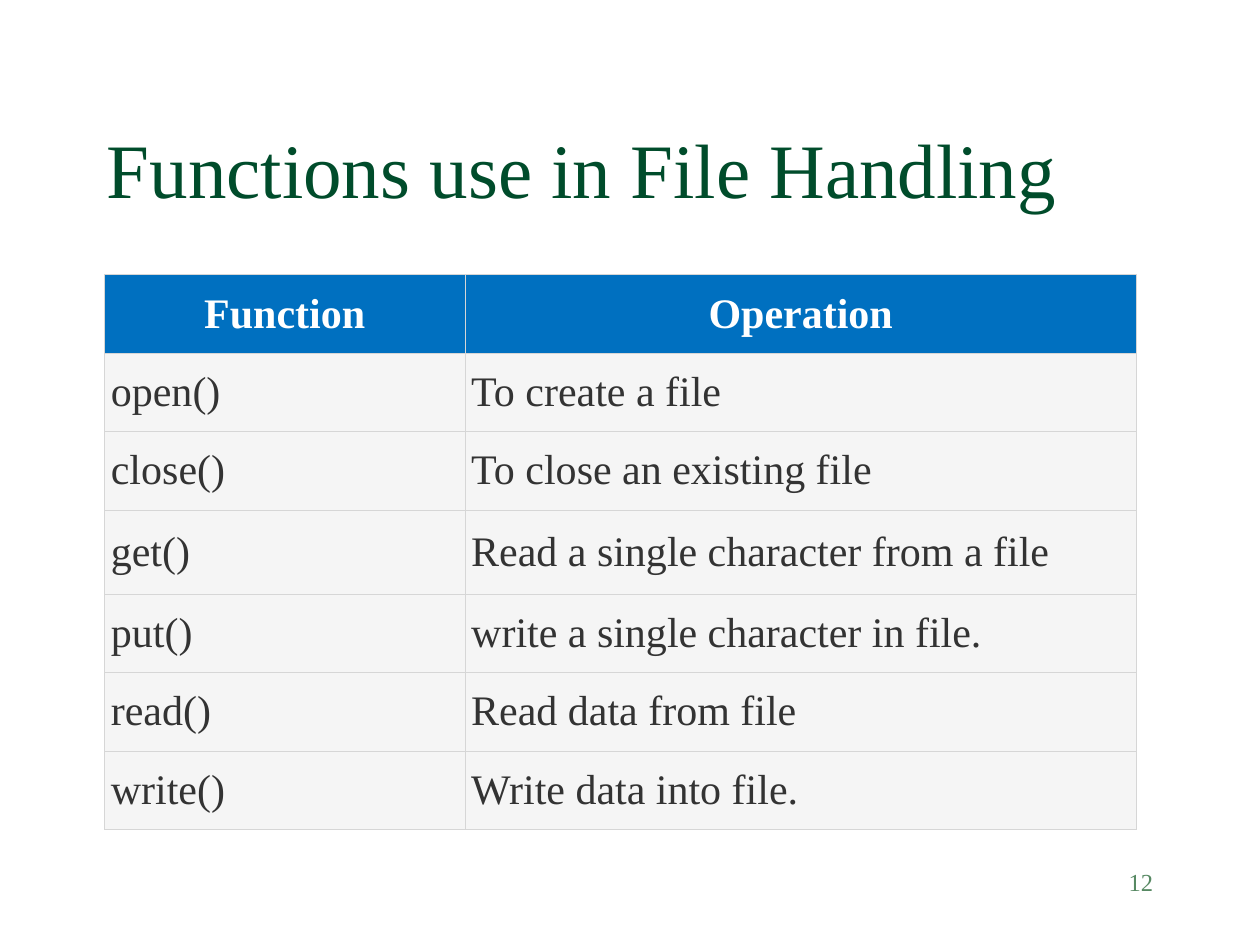
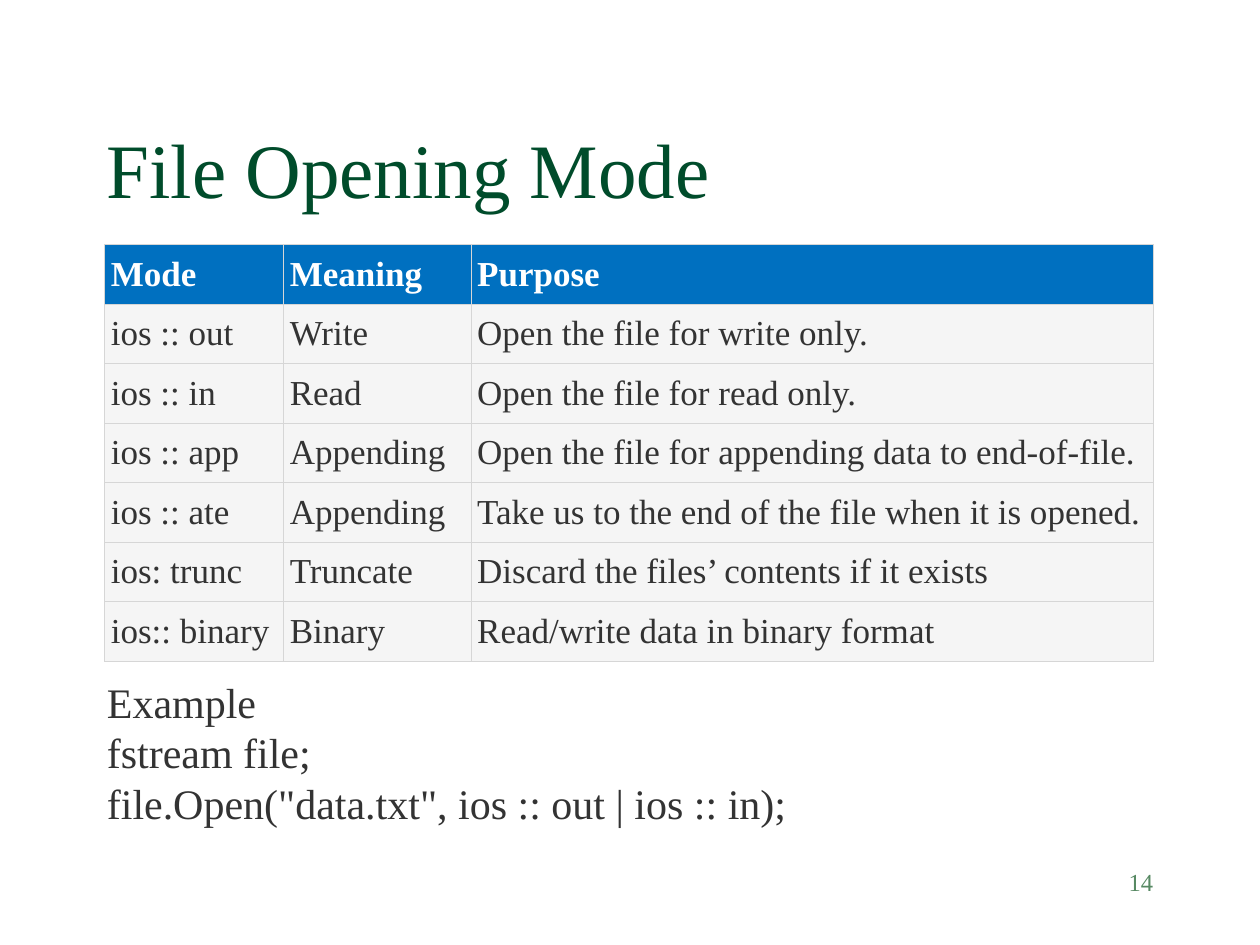
from lxml.etree import SubElement
from pptx import Presentation
from pptx.dml.color import RGBColor
from pptx.enum.text import MSO_ANCHOR as ANCHOR, MSO_AUTO_SIZE as AUTO, PP_ALIGN as ALIGN
from pptx.oxml.ns import qn
from pptx.util import Inches, Pt

FONT = "Times New Roman"
GREEN, PALE_GREEN, INK = "004C2B", "578963", "333333"
BLUE, GREY, RULE, WHITE = "0070C0", "F5F5F5", "D6D6D6", "FFFFFF"

prs = Presentation()
prs.slide_width, prs.slide_height = Inches(10), Inches(7.5)
COLS = 40
unit = prs.slide_width / COLS


def grid(*cells):
    return [round(c * unit) for c in cells]


def write(tf, text, size, color, bold=False, align=ALIGN.LEFT, anchor=ANCHOR.TOP):
    tf.word_wrap = True
    tf.vertical_anchor = anchor
    for i, line in enumerate(text.split("\n")):
        p = tf.paragraphs[0] if i == 0 else tf.add_paragraph()
        p.alignment = align
        r = p.add_run()
        r.text = line
        r.font.name, r.font.size, r.font.bold = FONT, Pt(size), bold
        r.font.color.rgb = RGBColor.from_string(color)


slides = [
    dict(
        title="Functions use in File Handling", number="12", top=8.72, size=24,
        head_align=ALIGN.CENTER, widths=[11.44, 21.32],
        heights=[2.49] * 3 + [2.67] + [2.49] * 3,
        rows=[
            ("Function", "Operation"),
            ("open()", "To create a file"),
            ("close()", "To close an existing file"),
            ("get()", "Read a single character from a file"),
            ("put()", "write a single character in file."),
            ("read()", "Read data from file"),
            ("write()", "Write data into file."),
        ],
        example=None,
    ),
    dict(
        title="File Opening Mode", number="14", top=7.76, size=20,
        head_align=ALIGN.LEFT, widths=[5.68, 5.95, 21.67], heights=[1.89] * 7,
        rows=[
            ("Mode", "Meaning", "Purpose"),
            ("ios :: out", "Write", "Open the file for write only."),
            ("ios :: in", "Read", "Open the file for read only."),
            ("ios :: app", "Appending", "Open the file for appending data to end-of-file."),
            ("ios :: ate", "Appending", "Take us to the end of the file when it is opened."),
            ("ios: trunc", "Truncate", "Discard the files’ contents if it exists"),
            ("ios:: binary", "Binary", "Read/write data in binary format"),
        ],
        example='Example\nfstream file;\nfile.Open("data.txt", ios :: out | ios :: in);',
    ),
]

for d in slides:
    s = prs.slides.add_slide(prs.slide_layouts[6])
    s.background.fill.solid()
    s.background.fill.fore_color.rgb = RGBColor.from_string(WHITE)

    sp = s.shapes.add_textbox(*grid(3, 2, 34, 5))
    write(sp.text_frame, d["title"], 44, GREEN, anchor=ANCHOR.BOTTOM)

    widths, heights = grid(*d["widths"]), grid(*d["heights"])
    tbl = s.shapes.add_table(len(heights), len(widths), *grid(3.32, d["top"]),
                             sum(widths), sum(heights)).table
    tbl.first_row = tbl.horz_banding = False
    for col, width in zip(tbl.columns, widths):
        col.width = width
    for row, height in zip(tbl.rows, heights):
        row.height = height

    for i, texts in enumerate(d["rows"]):
        head = i == 0
        for j, text in enumerate(texts):
            cell = tbl.cell(i, j)
            cell.margin_left = cell.margin_right = Inches(0.05)
            cell.margin_top = cell.margin_bottom = Inches(0.05)
            write(cell.text_frame, text, d["size"], WHITE if head else INK, bold=head,
                  align=d["head_align"] if head else ALIGN.LEFT)
            cell.vertical_anchor = ANCHOR.MIDDLE
            tcPr = cell._tc.get_or_add_tcPr()
            for side in ("lnL", "lnR", "lnT", "lnB"):
                ln = SubElement(tcPr, qn("a:" + side), w=str(Pt(0.34)))
                SubElement(SubElement(ln, qn("a:solidFill")), qn("a:srgbClr"), val=RULE)
            cell.fill.solid()
            cell.fill.fore_color.rgb = RGBColor.from_string(BLUE if head else GREY)

    sp = s.shapes.add_textbox(*grid(28.68, 27.32, 8.32, 2))
    write(sp.text_frame, d["number"], 14, PALE_GREEN, align=ALIGN.RIGHT)

    if d["example"]:
        sp = s.shapes.add_textbox(*grid(3, 21.28, 23.8, 5.2))
        write(sp.text_frame, d["example"], 24, INK)
        sp.text_frame.auto_size = AUTO.SHAPE_TO_FIT_TEXT

prs.save("out.pptx")
